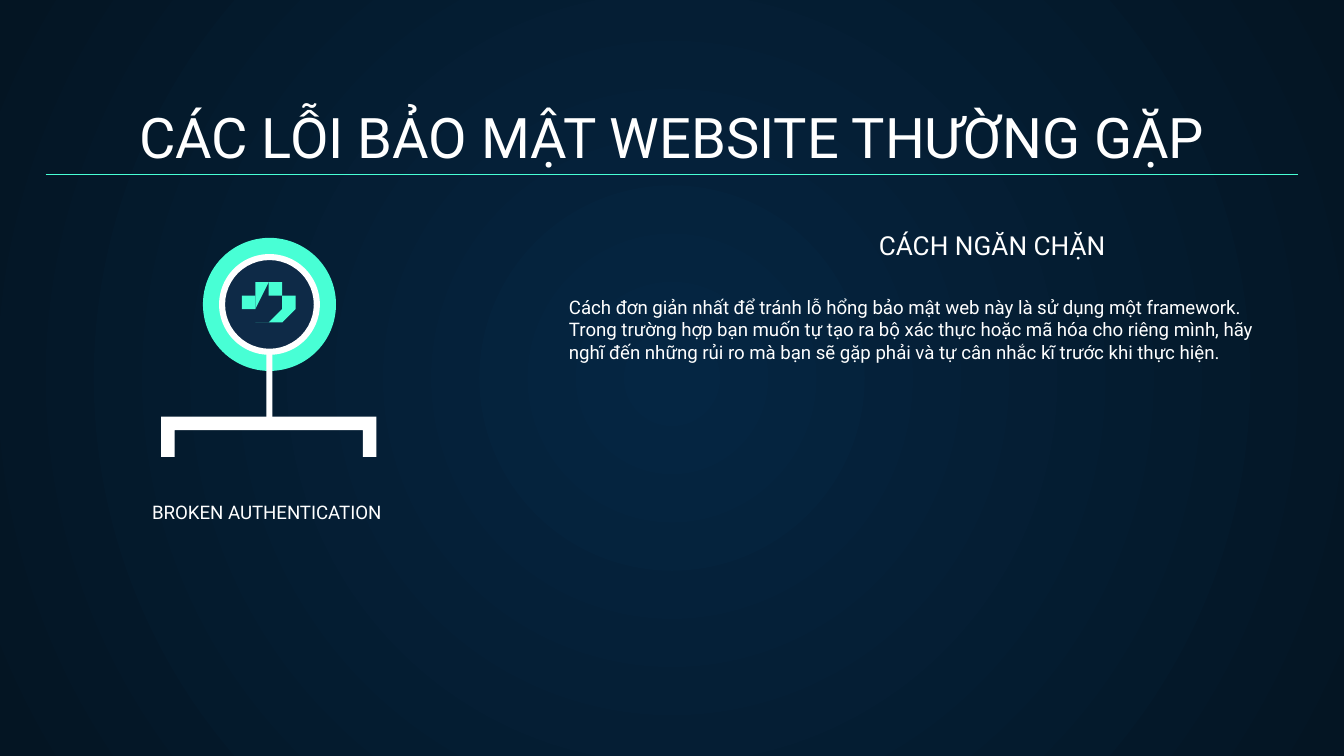
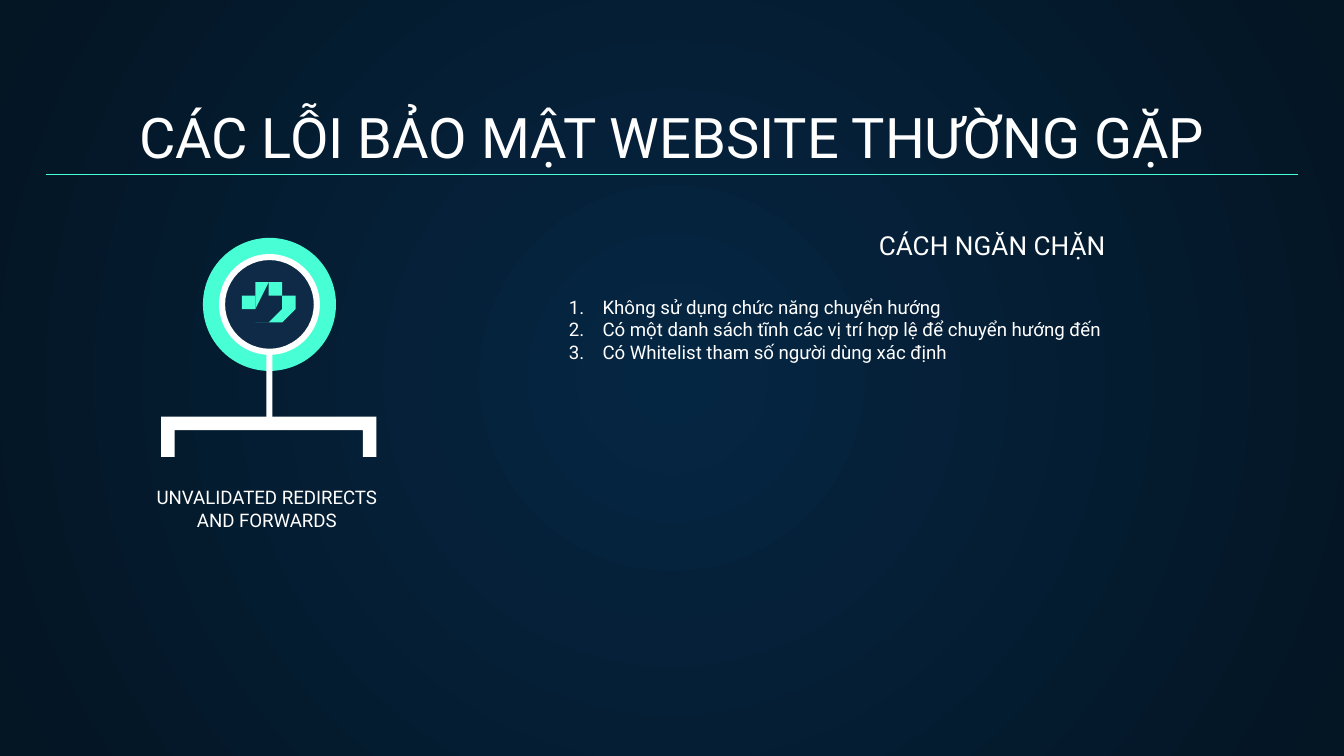
import math

import lxml.etree
import pptx
import pptx.dml.color
import pptx.enum.shapes
import pptx.enum.text
import pptx.oxml
import pptx.oxml.ns
import pptx.util

WHITE, MINT, NAVY = "FFFFFF", "48FFD5", "0E2A47"
BACKGROUND = ("052643", "041523")
FONT = "Roboto"
TITLE = "CÁC LỖI BẢO MẬT WEBSITE THƯỜNG GẶP"
HEADING = "CÁCH NGĂN CHẶN"

# Each topic: label, label position (left, top, width, height), advice, numbered
TOPICS = [
    ("BROKEN AUTHENTICATION", (10, 35.4, 19.7, 4.4),
     ["Cách đơn giản nhất để tránh lỗ hổng bảo mật web này là sử dụng một framework. "
      "Trong trường hợp bạn muốn tự tạo ra bộ xác thực hoặc mã hóa cho riêng mình, "
      "hãy nghĩ đến những rủi ro mà bạn sẽ gặp phải và tự cân nhắc kĩ trước khi thực hiện."],
     False),
    ("UNVALIDATED REDIRECTS AND FORWARDS", (10.1, 36.1, 19.5, 4.4),
     ["Không sử dụng chức năng chuyển hướng",
      "Có một danh sách tĩnh các vị trí hợp lệ để chuyển hướng đến",
      "Có Whitelist tham số người dùng xác định"],
     True),
]

color = pptx.dml.color.RGBColor.from_string
qn = pptx.oxml.ns.qn
Shape = pptx.enum.shapes.MSO_SHAPE
Align = pptx.enum.text.PP_ALIGN
Anchor = pptx.enum.text.MSO_ANCHOR

presentation = pptx.Presentation()
presentation.slide_width = pptx.util.Inches(10)
presentation.slide_height = pptx.util.Inches(5.625)
CELL = presentation.slide_width // 100  # square grid, 100 columns across

# Sign: everything is centred on one axis
AXIS, DISC_Y, ICON_Y = 20.05, 22.65, 22.8
MARGIN, RULE_Y = 3.4, 13
ICON_RADIUS, BLADES = 1.6, 6
BRACKET_LEFT, BRACKET_RIGHT = 12.2, 27.9
BRACKET_TOP, BRACKET_BOTTOM = 31.4, 34.5
BAR, CUT = 0.45, 0.15  # bar thickness and trimmed corner


def paint(shape, fill):
    """Flat fill, with neither outline nor shadow."""
    shape.shadow.inherit = False
    shape.fill.solid()
    shape.fill.fore_color.rgb = color(fill)
    shape.line.fill.background()


def add_text(slide, box, lines, size, align=Align.LEFT, anchor=Anchor.BOTTOM):
    shape = slide.shapes.add_textbox(*(round(value * CELL) for value in box))
    frame = shape.text_frame
    frame.text = "\n".join(lines)
    frame.word_wrap = True
    frame.vertical_anchor = anchor
    frame.margin_left = frame.margin_right = CELL
    frame.margin_top = frame.margin_bottom = CELL
    for paragraph in frame.paragraphs:
        paragraph.alignment = align
        font = paragraph.runs[0].font
        font.name, font.size = FONT, pptx.util.Pt(size)
        font.color.rgb = color(WHITE)
    return frame


for label, label_box, advice, numbered in TOPICS:
    slide = presentation.slides.add_slide(presentation.slide_layouts[6])

    # Background: circular gradient from the centre
    fill = slide.background.fill
    fill.gradient()
    for stop, shade in zip(fill.gradient_stops, BACKGROUND):
        stop.color.rgb = color(shade)
    gradient = slide.element.find(".//" + qn("a:gradFill"))
    gradient.remove(gradient.find(qn("a:lin")))
    circle = lxml.etree.SubElement(gradient, qn("a:path"), {"path": "circle"})
    lxml.etree.SubElement(circle, qn("a:fillToRect"),
                          {side: "50000" for side in "ltrb"})

    add_text(slide, (MARGIN, 7, 100 - 2 * MARGIN, 6.6), [TITLE], 30, Align.CENTER)

    # Bracket: left half of the outline, then its mirror image
    half = [
        (AXIS, BRACKET_TOP + BAR),
        (BRACKET_LEFT + BAR, BRACKET_TOP + BAR),
        (BRACKET_LEFT + BAR, BRACKET_BOTTOM - CUT),
        (BRACKET_LEFT + BAR - CUT, BRACKET_BOTTOM),
        (BRACKET_LEFT + CUT, BRACKET_BOTTOM),
        (BRACKET_LEFT, BRACKET_BOTTOM - CUT),
        (BRACKET_LEFT, BRACKET_TOP + CUT),
        (BRACKET_LEFT + CUT, BRACKET_TOP),
    ]
    mirror = [(BRACKET_LEFT + BRACKET_RIGHT - x, y) for x, y in reversed(half)]
    outline = slide.shapes.build_freeform(*half[0], scale=CELL)
    outline.add_line_segments(half[1:] + mirror)
    paint(outline.convert_to_shape(), WHITE)

    # Disc, stem, core and ring, from back to front
    for kind, width, height, middle, shade, adjustment in [
        (Shape.OVAL, 9.9, 9.9, DISC_Y, MINT, None),
        (Shape.ROUNDED_RECTANGLE, BAR, 10, 26.9, WHITE, 0.5),
        (Shape.OVAL, 7, 7, DISC_Y, NAVY, None),
        (Shape.DONUT, 7.5, 7.5, DISC_Y, WHITE, 0.06),
    ]:
        box = (AXIS - width / 2, middle - height / 2, width, height)
        shape = slide.shapes.add_shape(kind, *(round(value * CELL) for value in box))
        paint(shape, shade)
        if adjustment:
            shape.adjustments[0] = adjustment

    # Shutter icon: one blade turned around the centre
    blade = [(ICON_RADIUS, angle) for angle in range(270, 224, -9)] + [(0.76, 203)]
    icon = slide.shapes.add_group_shape()
    for turn in range(BLADES):
        points = []
        for radius, angle in blade:
            heading = math.radians(angle + turn * 360 / BLADES)
            points.append((AXIS + radius * math.cos(heading),
                           ICON_Y + radius * math.sin(heading)))
        outline = icon.shapes.build_freeform(*points[0], scale=CELL)
        outline.add_line_segments(points[1:])
        paint(outline.convert_to_shape(), MINT)

    rule = slide.shapes.add_connector(
        pptx.enum.shapes.MSO_CONNECTOR.STRAIGHT,
        *(round(value * CELL) for value in (MARGIN, RULE_Y, 100 - MARGIN, RULE_Y)))
    rule.line.color.rgb = color(MINT)
    rule.line.width = pptx.util.Pt(0.75)
    lxml.etree.SubElement(rule.element.spPr, qn("a:effectLst"))

    add_text(slide, (64.4, 17.7, 20.5, 2.7), [HEADING], 14)
    add_text(slide, label_box, [label], 10, Align.CENTER)

    body = add_text(slide, (40.1, 21, 56.5, 29.7), advice, 10, anchor=Anchor.TOP)
    for paragraph in body.paragraphs:
        properties = paragraph._p.get_or_add_pPr()
        properties.set("marL", str(round((3.75 if numbered else 1.25) * CELL)))
        properties.set("indent", str(round(-2.5 * CELL) if numbered else 0))
        if numbered:
            bullet_color = lxml.etree.SubElement(properties, qn("a:buClr"))
            lxml.etree.SubElement(bullet_color, qn("a:srgbClr"), {"val": WHITE})
            lxml.etree.SubElement(properties, qn("a:buAutoNum"), {"type": "arabicPeriod"})

presentation.save("out.pptx")
